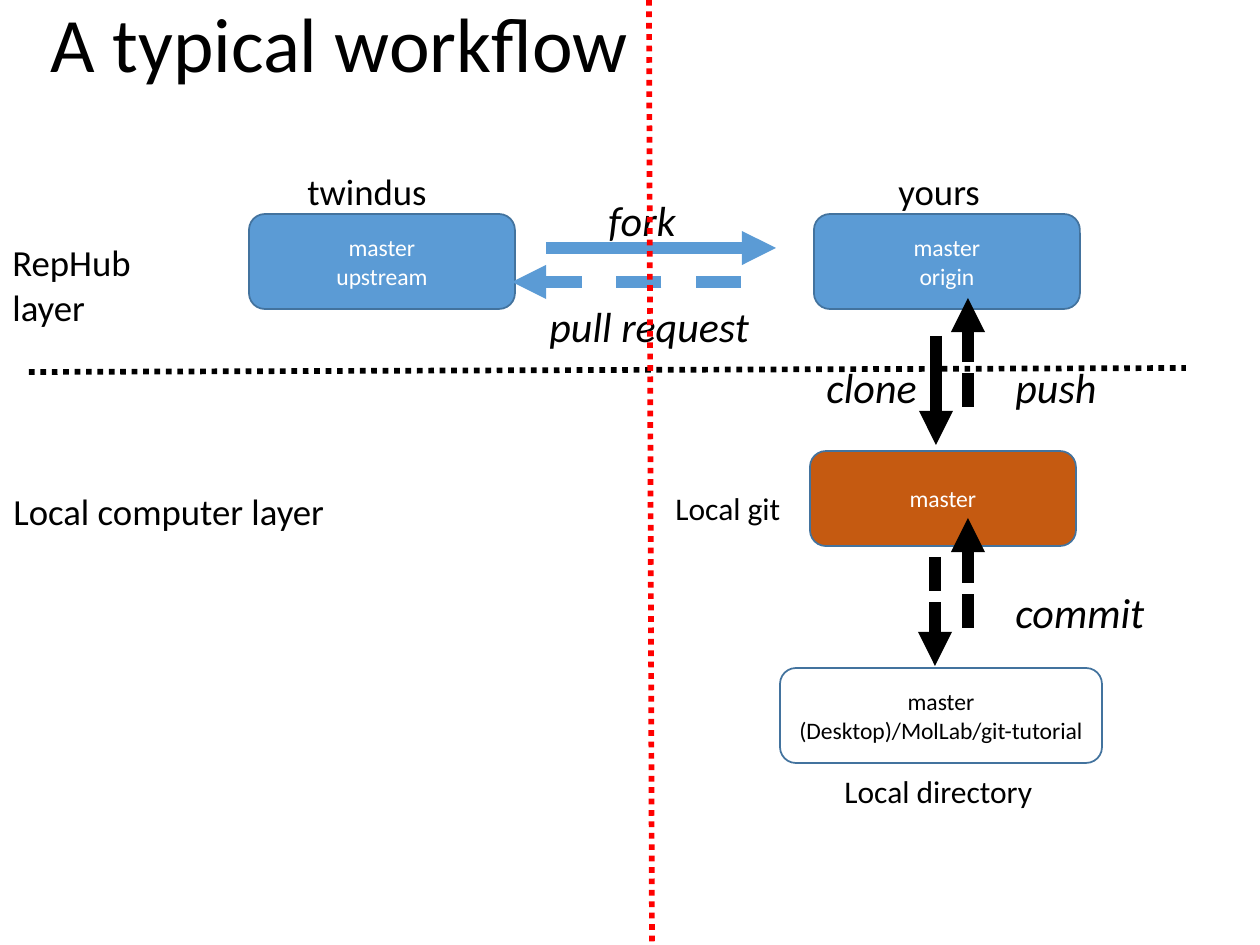
from dataclasses import dataclass
from typing import Optional

from lxml.etree import SubElement
from pptx import Presentation
from pptx.dml.color import RGBColor
from pptx.enum.dml import MSO_LINE_DASH_STYLE as Dash
from pptx.enum.shapes import MSO_CONNECTOR as Connector
from pptx.enum.shapes import MSO_SHAPE as Shape
from pptx.enum.text import MSO_ANCHOR as Anchor
from pptx.enum.text import MSO_AUTO_SIZE as AutoSize
from pptx.enum.text import PP_ALIGN as Align
from pptx.oxml.ns import qn
from pptx.slide import Slide
from pptx.text.text import TextFrame
from pptx.util import Emu, Pt

PIXELS_PER_INCH = 126
FONT = "Calibri"
BLACK = RGBColor(0x00, 0x00, 0x00)
WHITE = RGBColor(0xFF, 0xFF, 0xFF)
BLUE = RGBColor(0x5B, 0x9B, 0xD5)
OUTLINE = RGBColor(0x43, 0x73, 0x9E)
ORANGE = RGBColor(0xC5, 0x5A, 0x11)
RED = RGBColor(0xFF, 0x00, 0x00)

BOX_WIDTH, BOX_HEIGHT = 266, 95
LAYER_SIZE, ACTION_SIZE, PLACE_SIZE = 21, 24, 18
ARROW_WEIGHT, DIVIDER_WEIGHT = 6.5, 3.25


@dataclass
class Branch:
    """A rounded box that stands for one copy of the repository."""
    text: str
    left: int
    top: int
    fill: Optional[RGBColor]
    color: RGBColor = WHITE
    width: int = BOX_WIDTH


@dataclass
class Label:
    """A line of free text."""
    text: str
    left: int
    top: int
    width: int
    size: int
    italic: bool = False


@dataclass
class Line:
    """A straight line, with an arrowhead at its end if wanted."""
    start: tuple[int, int]
    end: tuple[int, int]
    color: RGBColor = BLACK
    weight: float = ARROW_WEIGHT
    dash: Optional[Dash] = None
    arrow: bool = True


BRANCHES = [
    Branch("master\nupstream", 249, 214, BLUE),
    Branch("master\norigin", 814, 214, BLUE),
    Branch("master", 810, 451, ORANGE),
    Branch("master\n(Desktop)/MolLab/git-tutorial", 780, 668, None, BLACK, 322),
]
ARROWS = [
    Line((546, 248), (776, 248), BLUE),
    Line((741, 282), (512, 282), BLUE, dash=Dash.DASH),
    Line((936, 336), (936, 445)),
    Line((968, 407), (968, 298), dash=Dash.SQUARE_DOT),
    Line((935, 557), (935, 666), dash=Dash.SQUARE_DOT),
    Line((968, 628), (968, 518), dash=Dash.SQUARE_DOT),
]
LABELS = [
    Label("RepHub layer", 0, 234, 214, LAYER_SIZE),
    Label("Local computer layer", 1, 483, 340, LAYER_SIZE),
    Label("twindus", 295, 163, 146, LAYER_SIZE),
    Label("yours", 886, 163, 108, LAYER_SIZE),
    Label("fork", 596, 188, 93, ACTION_SIZE, True),
    Label("pull request", 537, 294, 227, ACTION_SIZE, True),
    Label("clone", 814, 355, 117, ACTION_SIZE, True),
    Label("push", 1003, 355, 107, ACTION_SIZE, True),
    Label("commit", 1003, 580, 156, ACTION_SIZE, True),
    Label("Local git", 663, 483, 131, PLACE_SIZE),
    Label("Local directory", 832, 766, 215, PLACE_SIZE),
]
DIVIDERS = [
    Line((29, 372), (1186, 368), BLACK, DIVIDER_WEIGHT, Dash.ROUND_DOT, False),
    Line((649, 0), (652, 943), RED, DIVIDER_WEIGHT, Dash.ROUND_DOT, False),
]


def px(*lengths: int) -> list[Emu]:
    """Turn pixels into EMU."""
    return [Emu(round(length * 914400 / PIXELS_PER_INCH)) for length in lengths]


def write(frame: TextFrame, text: str, *, size: float, color: RGBColor = BLACK,
          italic: bool = False, align: Align = Align.LEFT,
          spacing: float = 1.0) -> None:
    """Fill a text frame, one paragraph for each line of text."""
    frame.text = text
    for para in frame.paragraphs:
        para.alignment = align
        para.line_spacing = spacing
        for span in para.runs:
            span.font.name = FONT
            span.font.size = Pt(size)
            span.font.italic = italic
            span.font.color.rgb = color


def set_title(page: Slide, text: str) -> None:
    """Place and format the title placeholder."""
    title = page.shapes.title
    title.left, title.top, title.width, title.height = px(38, 0, 815, 137)
    frame = title.text_frame
    frame.auto_size = AutoSize.NONE
    frame.word_wrap = True
    frame.vertical_anchor = Anchor.TOP
    write(frame, text, size=44, spacing=0.9)


def add_branch(page: Slide, branch: Branch) -> None:
    """Draw a rounded box with centred text."""
    box = page.shapes.add_shape(
        Shape.ROUNDED_RECTANGLE,
        *px(branch.left, branch.top, branch.width, BOX_HEIGHT))
    box.shadow.inherit = False
    if branch.fill is None:
        box.fill.background()
    else:
        box.fill.solid()
        box.fill.fore_color.rgb = branch.fill
    box.line.color.rgb = OUTLINE
    box.line.width = Pt(1)
    box.text_frame.word_wrap = True
    box.text_frame.vertical_anchor = Anchor.MIDDLE
    write(box.text_frame, branch.text, size=13.5, color=branch.color,
          align=Align.CENTER)


def add_label(page: Slide, label: Label) -> None:
    """Draw a text box that holds one unwrapped line."""
    height = {LAYER_SIZE: 57, ACTION_SIZE: 63, PLACE_SIZE: 50}[label.size]
    box = page.shapes.add_textbox(*px(label.left, label.top, label.width, height))
    box.text_frame.word_wrap = False
    box.text_frame.auto_size = AutoSize.SHAPE_TO_FIT_TEXT
    write(box.text_frame, label.text, size=label.size, italic=label.italic)


def add_line(page: Slide, line: Line) -> None:
    """Draw a connector without shadow."""
    connector = page.shapes.add_connector(
        Connector.STRAIGHT, *px(*line.start, *line.end))
    connector.line.color.rgb = line.color
    connector.line.width = Pt(line.weight)
    if line.dash is not None:
        connector.line.dash_style = line.dash
    if line.arrow:
        SubElement(connector.line._get_or_add_ln(), qn("a:tailEnd"), type="triangle")
    SubElement(connector._element.spPr, qn("a:effectLst"))


def main() -> None:
    """Build the slide and save it."""
    deck = Presentation()
    deck.slide_width, deck.slide_height = px(1260, 945)
    page = deck.slides.add_slide(deck.slide_layouts[5])
    set_title(page, "A typical workflow")
    for branch in BRANCHES:
        add_branch(page, branch)
    for line in ARROWS:
        add_line(page, line)
    for label in LABELS:
        add_label(page, label)
    for line in DIVIDERS:
        add_line(page, line)
    deck.save("out.pptx")


main()
